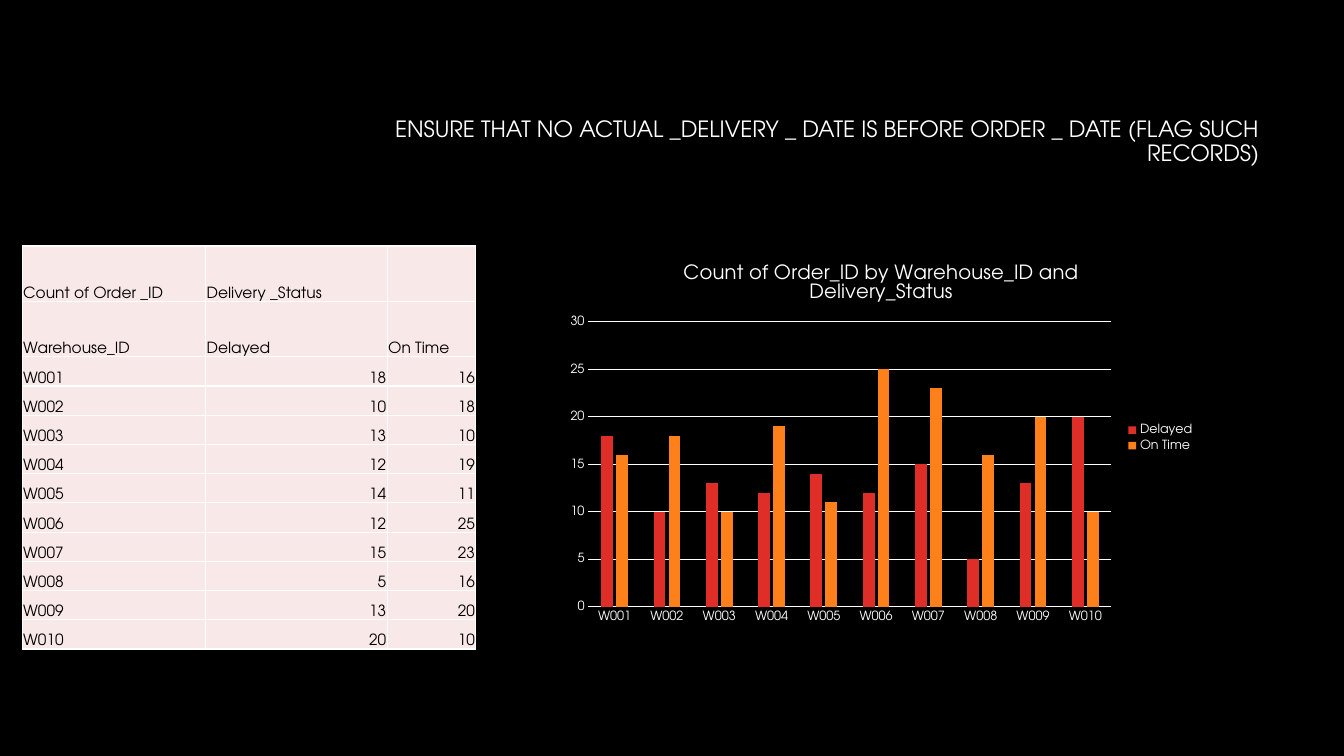
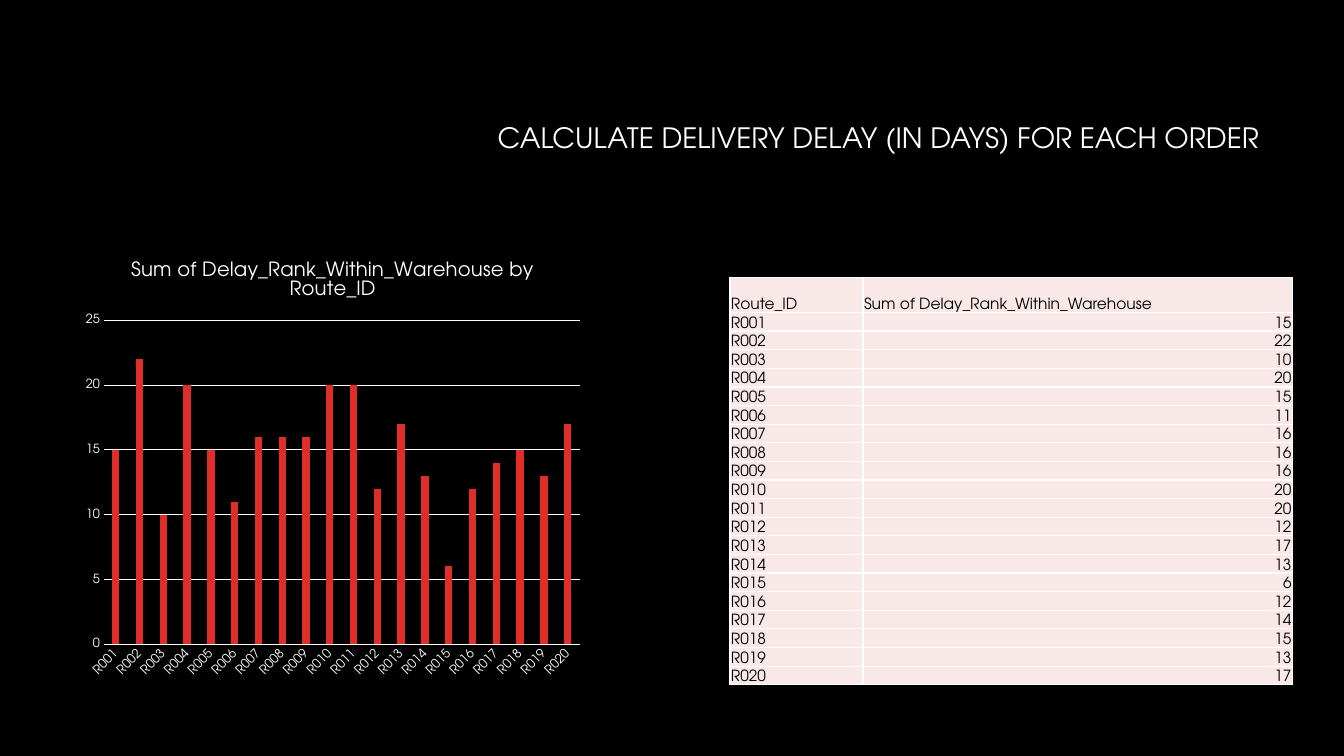
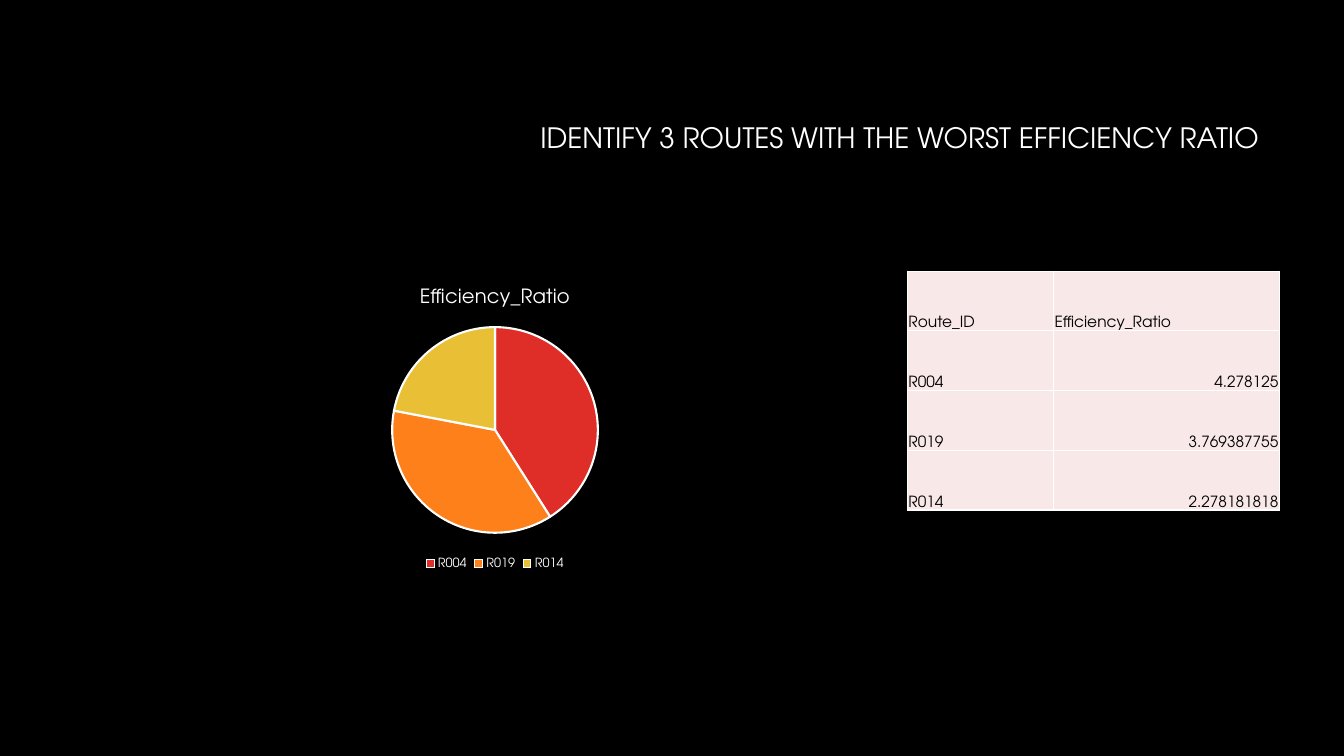
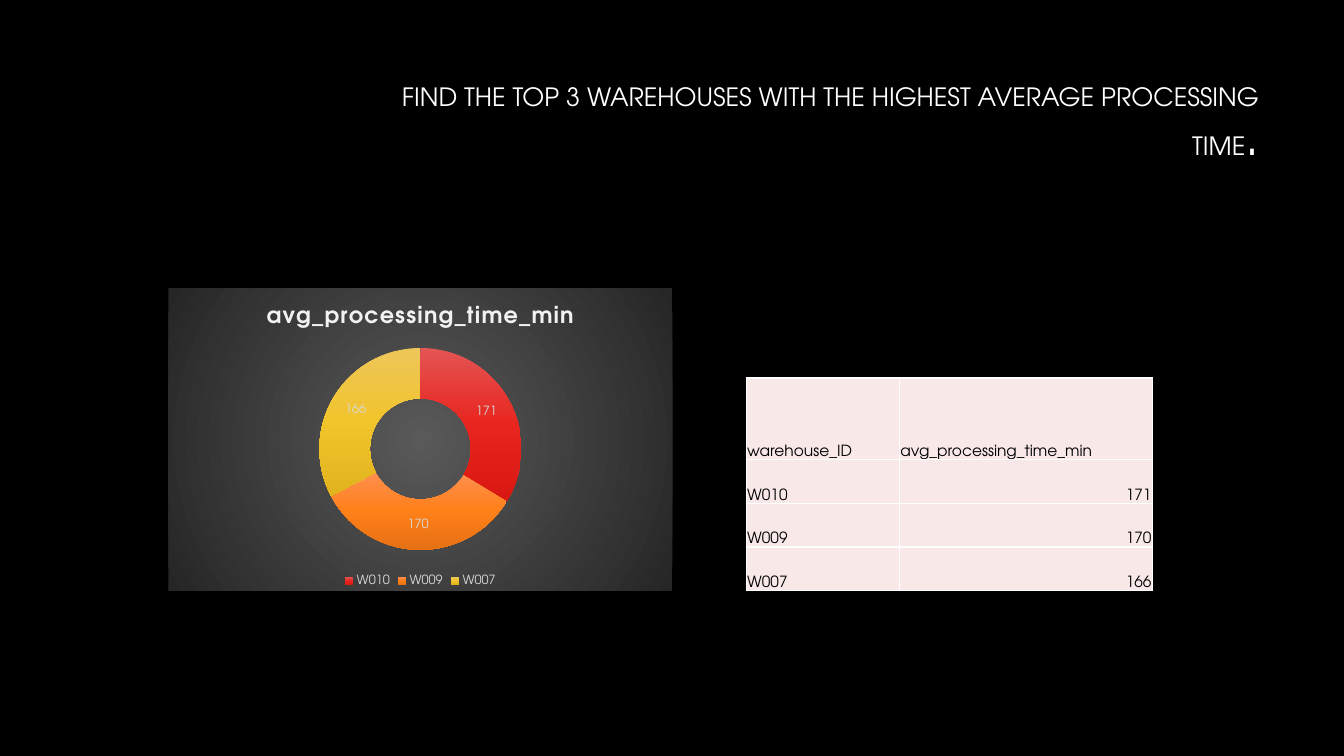
from copy import deepcopy

from lxml.etree import SubElement
from pptx import Presentation
from pptx.chart.data import CategoryChartData
from pptx.dml.color import RGBColor
from pptx.enum.chart import XL_CHART_TYPE, XL_LEGEND_POSITION, XL_TICK_MARK
from pptx.enum.text import MSO_ANCHOR, MSO_AUTO_SIZE, PP_ALIGN
from pptx.oxml import parse_xml
from pptx.oxml.ns import nsdecls, qn
from pptx.util import Inches, Pt

# Shared style
FONT = "TeX Gyre Adventor"
COLORS = {
    "background": "000000", "text": "FFFFFF", "cell": "F9E8E8", "cell_text": "000000",
    "red": "DF2E28", "orange": "FE801A", "yellow": "E9BF35",
    "soft_title": "F2F2F2", "soft_label": "D9D9D9",
}
SLICES = ["red", "orange", "yellow"]
PANEL_GRADIENT = [(0, "595959"), (100, "262626")]
RING_GRADIENTS = [
    [(0, "E45553"), (50, "E8251F"), (100, "D81811")],
    [(0, "FF8F4F"), (50, "FF8019"), (100, "E57114")],
    [(0, "EDC659"), (50, "F2C42C"), (100, "E1B31D")],
]
TITLE_BOX = (3.17, 0.84, 9.42, 1.41)

# Content
ORDERS = [
    ("W001", 18, 16), ("W002", 10, 18), ("W003", 13, 10), ("W004", 12, 19),
    ("W005", 14, 11), ("W006", 12, 25), ("W007", 15, 23), ("W008", 5, 16),
    ("W009", 13, 20), ("W010", 20, 10),
]
DELAYS = [15, 22, 10, 20, 15, 11, 16, 16, 16, 20, 20, 12, 17, 13, 6, 12, 14, 15, 13, 17]
ROUTES = [(f"R{number:03}", delay) for number, delay in enumerate(DELAYS, 1)]
RATIOS = [("R004", "4.278125"), ("R019", "3.769387755"), ("R014", "2.278181818")]
RATIO_SHARES = [41, 37, 22]
TIMES = [("W010", 171), ("W009", 170), ("W007", 166)]

SLIDES = [
    {
        "title": [("ENSURE THAT NO ACTUAL _DELIVERY _ DATE IS BEFORE ORDER _ DATE "
                   "(FLAG SUCH RECORDS)", 16)],
        "table": {
            "at": (0.22, 2.44), "columns": (1.82, 1.8, 0.88), "height": 4,
            "header_height": 0.55, "body": ORDERS,
            "header": [("Count of Order _ID", "Delivery _Status", ""),
                       ("Warehouse_ID", "Delayed", "On Time")],
        },
        "chart": {
            "kind": "columns", "at": (5.53, 2.44, 6.42, 3.81), "maximum": 30,
            "title": "Count of Order_ID by Warehouse_ID and Delivery_Status",
            "categories": [row[0] for row in ORDERS],
            "series": [("Delayed", [row[1] for row in ORDERS]),
                       ("On Time", [row[2] for row in ORDERS])],
            "legend": XL_LEGEND_POSITION.RIGHT,
        },
    },
    {
        "title": [("CALCULATE DELIVERY DELAY (IN DAYS) FOR EACH ORDER", 20)],
        "table": {
            "at": (7.24, 2.75), "columns": (1.32, 4.26), "height": 4.05,
            "header_height": 0.35, "body": ROUTES,
            "header": [("Route_ID", "Sum of Delay_Rank_Within_Warehouse")],
        },
        "chart": {
            "kind": "columns", "at": (0.75, 2.4, 5.1, 4.4), "maximum": 25,
            "title": "Sum of Delay_Rank_Within_Warehouse by Route_ID",
            "categories": [row[0] for row in ROUTES],
            "series": [("Series 1", DELAYS)],
            "label_angle": -45,
        },
    },
    {
        "title": [("IDENTIFY 3 ROUTES WITH THE WORST EFFICIENCY RATIO", 20)],
        "table": {
            "at": (9, 2.69), "columns": (1.45, 2.24), "height": 2.37,
            "header_height": 0.59, "body": RATIOS,
            "header": [("Route_ID", "Efficiency_Ratio")],
        },
        "chart": {
            "kind": "pie", "at": (2.41, 2.69, 5, 3), "title": "Efficiency_Ratio",
            "categories": [row[0] for row in RATIOS],
            "series": [("Efficiency_Ratio", RATIO_SHARES)],
            "legend": XL_LEGEND_POSITION.BOTTOM,
        },
    },
    {
        "title": [("FIND THE TOP 3 WAREHOUSES WITH THE HIGHEST AVERAGE PROCESSING TIME", 18),
                  (".", 36)],
        "table": {
            "at": (7.4, 3.75), "columns": (1.52, 2.51), "height": 2.11,
            "header_height": 0.81, "body": TIMES,
            "header": [("warehouse_ID", "avg_processing_time_min")],
        },
        "chart": {
            "kind": "doughnut", "at": (1.67, 2.86, 5, 3),
            "title": "avg_processing_time_min",
            "categories": [row[0] for row in TIMES],
            "series": [("avg_processing_time_min", [row[1] for row in TIMES])],
            "legend": XL_LEGEND_POSITION.BOTTOM,
        },
    },
]
CHART_TYPES = {
    "columns": XL_CHART_TYPE.COLUMN_CLUSTERED,
    "pie": XL_CHART_TYPE.PIE,
    "doughnut": XL_CHART_TYPE.DOUGHNUT,
}


# Helpers
def rgb(name):
    return RGBColor.from_string(COLORS[name])


def style_font(font, size, color="text", bold=False):
    font.name, font.size, font.bold = FONT, Pt(size), bold
    font.color.rgb = rgb(color)


def fill_solid(fill, color):
    fill.solid()
    fill.fore_color.rgb = rgb(color)


def gradient_fill(stops, direction):
    stop_xml = "".join(
        f'<a:gs pos="{position * 1000}"><a:srgbClr val="{color}"/></a:gs>'
        for position, color in stops)
    return parse_xml(f'<a:gradFill {nsdecls("a")} rotWithShape="1">'
                     f'<a:gsLst>{stop_xml}</a:gsLst>{direction}</a:gradFill>')


def add_cell_borders(cell):
    properties = cell._tc.get_or_add_tcPr()
    for side in ("lnL", "lnR", "lnT", "lnB"):
        line = SubElement(properties, qn(f"a:{side}"), w=str(Pt(1)))
        solid = SubElement(line, qn("a:solidFill"))
        SubElement(solid, qn("a:srgbClr"), val=COLORS["text"])


# Title
def fill_title(shape, runs):
    shape.left, shape.top, shape.width, shape.height = map(Inches, TITLE_BOX)
    frame = shape.text_frame
    frame.word_wrap, frame.auto_size = True, MSO_AUTO_SIZE.NONE
    frame.vertical_anchor = MSO_ANCHOR.MIDDLE
    paragraph = frame.paragraphs[0]
    paragraph.alignment, paragraph.line_spacing = PP_ALIGN.RIGHT, 0.9
    for text, size in runs:
        run = paragraph.add_run()
        run.text = text
        style_font(run.font, size)
    paragraph.add_line_break()
    paragraph._p[-1].append(deepcopy(run._r.rPr))


# Table
def add_data_table(slide, item):
    rows = item["header"] + item["body"]
    header_count = len(item["header"])
    header_height = item["header_height"]
    body_height = (item["height"] - header_count * header_height) / len(item["body"])
    left, top = item["at"]
    table = slide.shapes.add_table(
        len(rows), len(item["columns"]), Inches(left), Inches(top),
        Inches(sum(item["columns"])), Inches(item["height"])).table
    table.first_row = table.horz_banding = False
    for column, width in zip(table.columns, item["columns"]):
        column.width = Inches(width)
    for row_index, values in enumerate(rows):
        is_header = row_index < header_count
        table.rows[row_index].height = Inches(header_height if is_header else body_height)
        for column_index, value in enumerate(values):
            cell = table.cell(row_index, column_index)
            add_cell_borders(cell)
            fill_solid(cell.fill, "cell")
            cell.margin_left = cell.margin_right = cell.margin_top = Inches(0.01)
            cell.margin_bottom = 0
            cell.vertical_anchor = MSO_ANCHOR.BOTTOM
            if value == "":
                continue
            paragraph = cell.text_frame.paragraphs[0]
            if column_index and not is_header:
                paragraph.alignment = PP_ALIGN.RIGHT
            run = paragraph.add_run()
            run.text = str(value)
            style_font(run.font, 11, "cell_text")


# Charts
def style_columns(chart, item):
    plot = chart.plots[0]
    plot.gap_width, plot.overlap = 219, -27
    plot.vary_by_categories = False
    for series, color in zip(plot.series, SLICES):
        fill_solid(series.format.fill, color)
        series.invert_if_negative = False
    category_axis, value_axis = chart.category_axis, chart.value_axis
    for axis in (category_axis, value_axis):
        axis.major_tick_mark = axis.minor_tick_mark = XL_TICK_MARK.NONE
        style_font(axis.tick_labels.font, 9)
    value_axis.minimum_scale, value_axis.maximum_scale = 0, item["maximum"]
    value_axis.major_unit = 5
    value_axis.format.line.fill.background()
    for line in (category_axis.format.line, value_axis.major_gridlines.format.line):
        line.width = Pt(0.75)
        line.color.rgb = rgb("text")
    if "label_angle" in item:
        body = category_axis._element.find(qn("c:txPr")).find(qn("a:bodyPr"))
        body.set("rot", str(item["label_angle"] * 60000))


def style_pie(chart):
    plot = chart.plots[0]
    plot.vary_by_categories = True
    for index, color in enumerate(SLICES):
        point_format = plot.series[0].points[index].format
        fill_solid(point_format.fill, color)
        point_format.line.width = Pt(1.5)
        point_format.line.color.rgb = rgb("text")


def style_doughnut(chart):
    plot = chart.plots[0]
    plot.vary_by_categories = True
    plot._element.find(qn("c:holeSize")).set("val", "75")
    for index, stops in enumerate(RING_GRADIENTS):
        point_format = plot.series[0].points[index].format
        point_format.line.fill.background()
        point_format._element.get_or_add_spPr().insert(
            0, gradient_fill(stops, '<a:lin ang="5400000" scaled="0"/>'))
    plot.has_data_labels = True
    labels = plot.data_labels
    labels.show_value, labels.show_percentage = True, False
    style_font(labels.font, 9, "soft_label")
    # Radial panel behind the ring
    panel = parse_xml(f'<c:spPr {nsdecls("c", "a")}><a:ln><a:noFill/></a:ln></c:spPr>')
    panel.insert(0, gradient_fill(
        PANEL_GRADIENT, '<a:path path="circle">'
        '<a:fillToRect l="50000" t="50000" r="50000" b="50000"/></a:path>'))
    chart._chartSpace.chart.addnext(panel)


def add_data_chart(slide, item):
    data = CategoryChartData()
    data.categories = item["categories"]
    for name, values in item["series"]:
        data.add_series(name, values)
    kind = item["kind"]
    chart = slide.shapes.add_chart(
        CHART_TYPES[kind], *map(Inches, item["at"]), data).chart
    style_font(chart.font, 10)
    is_ring = kind == "doughnut"

    chart.has_title = True
    run = chart.chart_title.text_frame.paragraphs[0].add_run()
    run.text = item["title"]
    if is_ring:
        style_font(run.font, 16, "soft_title", bold=True)
        run._r.get_or_add_rPr().set("spc", "100")
    else:
        style_font(run.font, 14)
    chart.chart_title.include_in_layout = False

    chart.has_legend = "legend" in item
    if chart.has_legend:
        chart.legend.position = item["legend"]
        chart.legend.include_in_layout = False
        style_font(chart.legend.font, 9, "soft_label" if is_ring else "text")

    if kind == "columns":
        style_columns(chart, item)
    elif kind == "pie":
        style_pie(chart)
    else:
        style_doughnut(chart)


def main():
    presentation = Presentation()
    presentation.slide_width, presentation.slide_height = Inches(13.33), Inches(7.5)
    fill_solid(presentation.slide_master.background.fill, "background")
    title_only = presentation.slide_layouts[5]
    for content in SLIDES:
        slide = presentation.slides.add_slide(title_only)
        fill_title(slide.shapes.title, content["title"])
        add_data_table(slide, content["table"])
        add_data_chart(slide, content["chart"])
    presentation.save("out.pptx")


if __name__ == "__main__":
    main()
